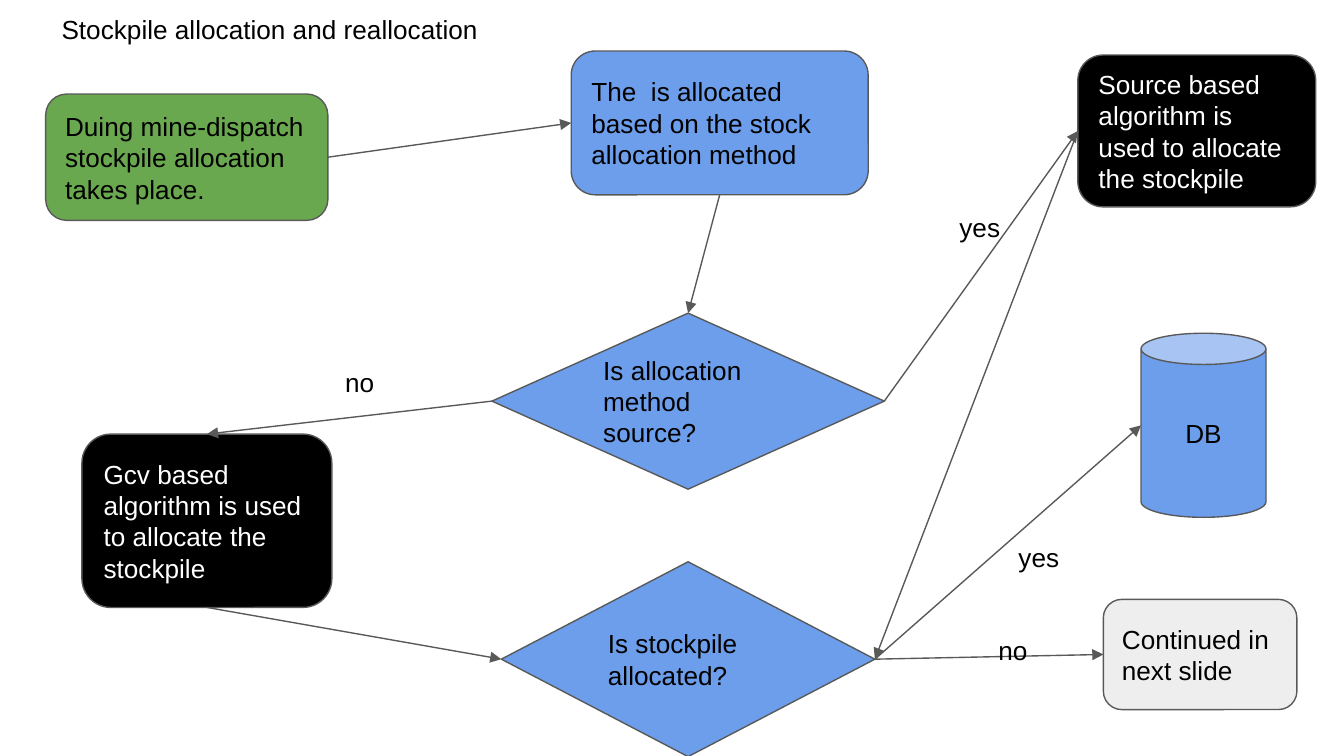
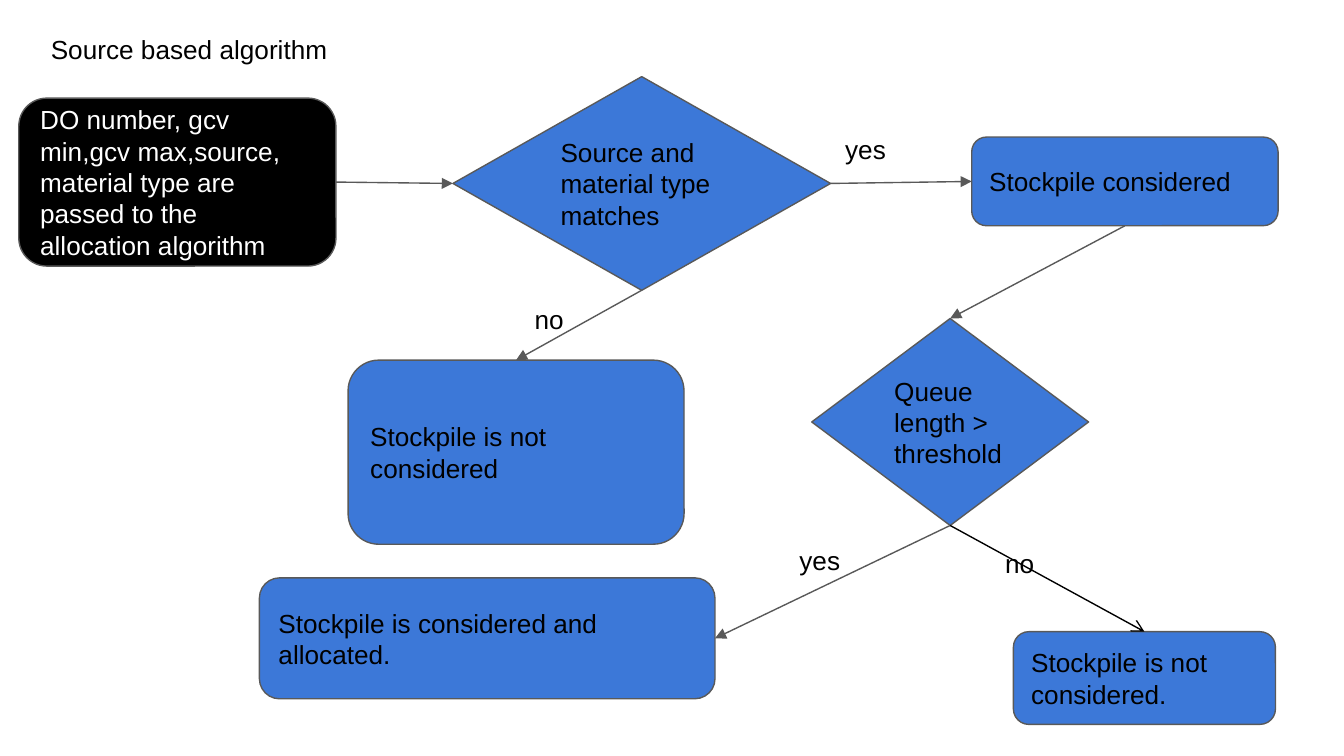
from dataclasses import dataclass
from lxml.etree import SubElement as Sub
from pptx import Presentation
from pptx.dml.color import RGBColor as Rgb
from pptx.enum.shapes import MSO_CONNECTOR as Conn, MSO_SHAPE as Kind
from pptx.enum.text import MSO_ANCHOR as Anchor, PP_ALIGN as Align
from pptx.oxml.ns import qn
from pptx.util import Inches, Pt


@dataclass(frozen=True)
class Theme:
    black: str = "000000"
    white: str = "FFFFFF"
    gray: str = "595959"
    pale: str = "EEEEEE"
    green: str = "6AA84F"
    sky: str = "6D9EEB"
    blue: str = "3C78D8"
    font: str = "Arial"
    size: float = 14
    line: float = 0.75
    pad: float = 0.1


look = Theme()
TOP, LEFT, BASE, RIGHT = range(4)
ROUND, ASK, CAN = Kind.ROUNDED_RECTANGLE, Kind.FLOWCHART_DECISION, Kind.CAN


def write(shape, text, ink=look.black, align=Align.LEFT, anchor=Anchor.TOP):
    frame = shape.text_frame
    frame.text = text
    frame.word_wrap = True
    frame.vertical_anchor = anchor
    frame.margin_left = frame.margin_right = Inches(look.pad)
    frame.margin_top = frame.margin_bottom = Inches(look.pad)
    para = frame.paragraphs[0]
    para.alignment = align
    font = para.runs[0].font
    font.name, font.size = look.font, Pt(look.size)
    font.color.rgb = Rgb.from_string(ink)


def spot(shape, side):
    x = shape.left + shape.width * {LEFT: 0, RIGHT: 2}.get(side, 1) // 2
    y = shape.top + shape.height * {TOP: 0, BASE: 2}.get(side, 1) // 2
    return x, y


charts = [
    {
        "nodes": {
            "start": (ROUND, (0.34, 0.7, 2.1, 0.94), look.green,
                      "Duing mine-dispatch stockpile allocation takes place."),
            "method": (ROUND, (4.25, 0.38, 2.21, 1.07), look.sky,
                       "The  is allocated based on the stock allocation method"),
            "source": (ASK, (3.66, 2.33, 2.92, 1.31), look.sky,
                       "Is allocation method source?"),
            "gcv": (ROUND, (0.61, 3.23, 1.86, 1.29), look.black,
                    "Gcv based algorithm is used to allocate the stockpile"),
            "based": (ROUND, (8.02, 0.41, 1.77, 1.13), look.black,
                      "Source based algorithm is used to allocate the stockpile"),
            "done": (ASK, (3.73, 4.18, 2.78, 1.45), look.sky,
                     "Is stockpile allocated?"),
            "db": (CAN, (8.49, 2.48, 0.93, 1.37), look.sky, "DB"),
            "next": (ROUND, (8.21, 4.46, 1.44, 0.82), look.pale,
                     "Continued in next slide"),
        },
        "links": [
            ("start", RIGHT, "method", LEFT, look.gray, "triangle"),
            ("method", BASE, "source", TOP, look.gray, "triangle"),
            ("source", LEFT, "gcv", TOP, look.gray, "triangle"),
            ("source", RIGHT, "based", LEFT, look.gray, "triangle"),
            ("done", RIGHT, "db", LEFT, look.gray, "triangle"),
            ("done", RIGHT, "next", LEFT, look.gray, "triangle"),
            ("gcv", BASE, "done", LEFT, look.gray, "triangle"),
            ("based", LEFT, "done", RIGHT, look.gray, "triangle"),
        ],
        "labels": [
            ((0.36, 0, 3.54, 0.42), "Stockpile allocation and reallocation"),
            ((2.47, 2.63, 0.62, 0.36), "no"),
            ((7.04, 1.47, 0.86, 0.49), "yes"),
            ((7.48, 3.93, 0.86, 0.49), "yes"),
            ((7.33, 4.62, 0.74, 0.49), "no"),
        ],
    },
    {
        "nodes": {
            "input": (ROUND, (0.14, 0.73, 2.36, 1.25), look.black,
                      "DO number, gcv min,gcv max,source, material type are "
                      "passed to the allocation algorithm"),
            "match": (ASK, (3.37, 0.57, 2.81, 1.59), look.blue,
                      "Source and material type matches"),
            "keep": (ROUND, (7.23, 1.02, 2.28, 0.66), look.blue,
                     "Stockpile considered"),
            "skip": (ROUND, (2.59, 2.68, 2.5, 1.37), look.blue,
                     "Stockpile is not considered"),
            "queue": (ASK, (6.04, 2.37, 2.06, 1.54), look.blue,
                      "Queue length > threshold"),
            "done": (ROUND, (1.93, 4.3, 3.39, 0.9), look.blue,
                     "Stockpile is considered and allocated."),
            "drop": (ROUND, (7.54, 4.7, 1.95, 0.69), look.blue,
                     "Stockpile is not considered."),
        },
        "links": [
            ("input", RIGHT, "match", LEFT, look.gray, "triangle"),
            ("match", RIGHT, "keep", LEFT, look.gray, "triangle"),
            ("match", BASE, "skip", TOP, look.gray, "triangle"),
            ("keep", BASE, "queue", TOP, look.gray, "triangle"),
            ("queue", BASE, "done", RIGHT, look.gray, "triangle"),
            ("queue", BASE, "drop", TOP, look.black, "arrow"),
        ],
        "labels": [
            ((0.28, 0.15, 2.54, 0.45), "Source based algorithm"),
            ((6.19, 0.89, 1.06, 0.34), "yes"),
            ((3.88, 2.16, 0.94, 0.47), "no"),
            ((5.85, 3.95, 0.53, 0.39), "yes"),
            ((7.38, 3.97, 0.62, 0.34), "no"),
        ],
    },
]

deck = Presentation()
deck.slide_width = Inches(10)
deck.slide_height = deck.slide_width * 9 // 16

for chart in charts:
    slide = deck.slides.add_slide(deck.slide_layouts[6])
    made = {}
    for name, (kind, box, fill, text) in chart["nodes"].items():
        node = slide.shapes.add_shape(kind, *map(Inches, box))
        node.shadow.inherit = False
        node.fill.solid()
        node.fill.fore_color.rgb = Rgb.from_string(fill)
        node.line.color.rgb = Rgb.from_string(look.gray)
        node.line.width = Pt(look.line)
        ink = look.white if fill == look.black else look.black
        align = Align.CENTER if kind == CAN else Align.LEFT
        write(node, text, ink, align, Anchor.MIDDLE)
        made[name] = node

    for tail, out, head, into, color, tip in chart["links"]:
        first, last = made[tail], made[head]
        link = slide.shapes.add_connector(
            Conn.STRAIGHT, *spot(first, out), *spot(last, into))
        link.begin_connect(first, out)
        if last.auto_shape_type != CAN:
            link.end_connect(last, into)
        link.line.color.rgb = Rgb.from_string(color)
        link.line.width = Pt(look.line)
        Sub(link.line._get_or_add_ln(), qn("a:tailEnd"), type=tip, w="med", len="med")
        Sub(link._element.spPr, qn("a:effectLst"))

    for box, text in chart["labels"]:
        write(slide.shapes.add_textbox(*map(Inches, box)), text)

deck.save("out.pptx")
